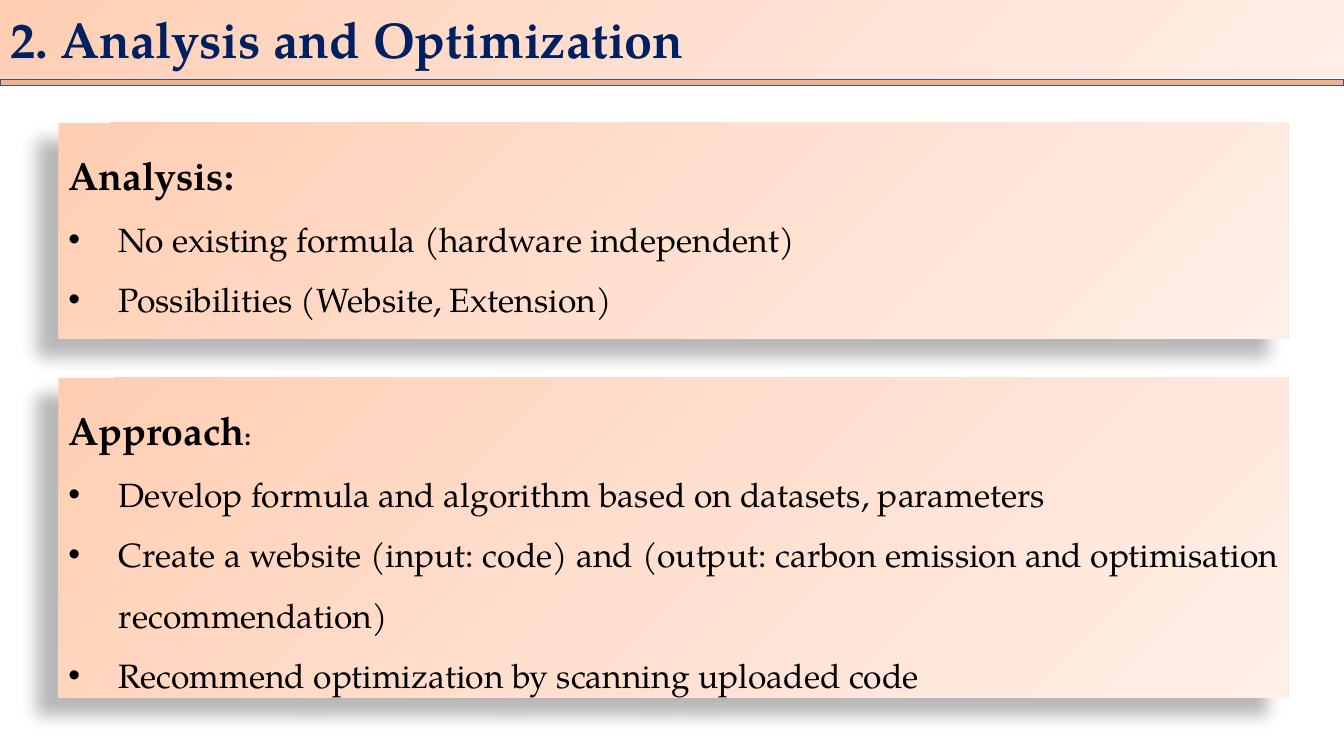
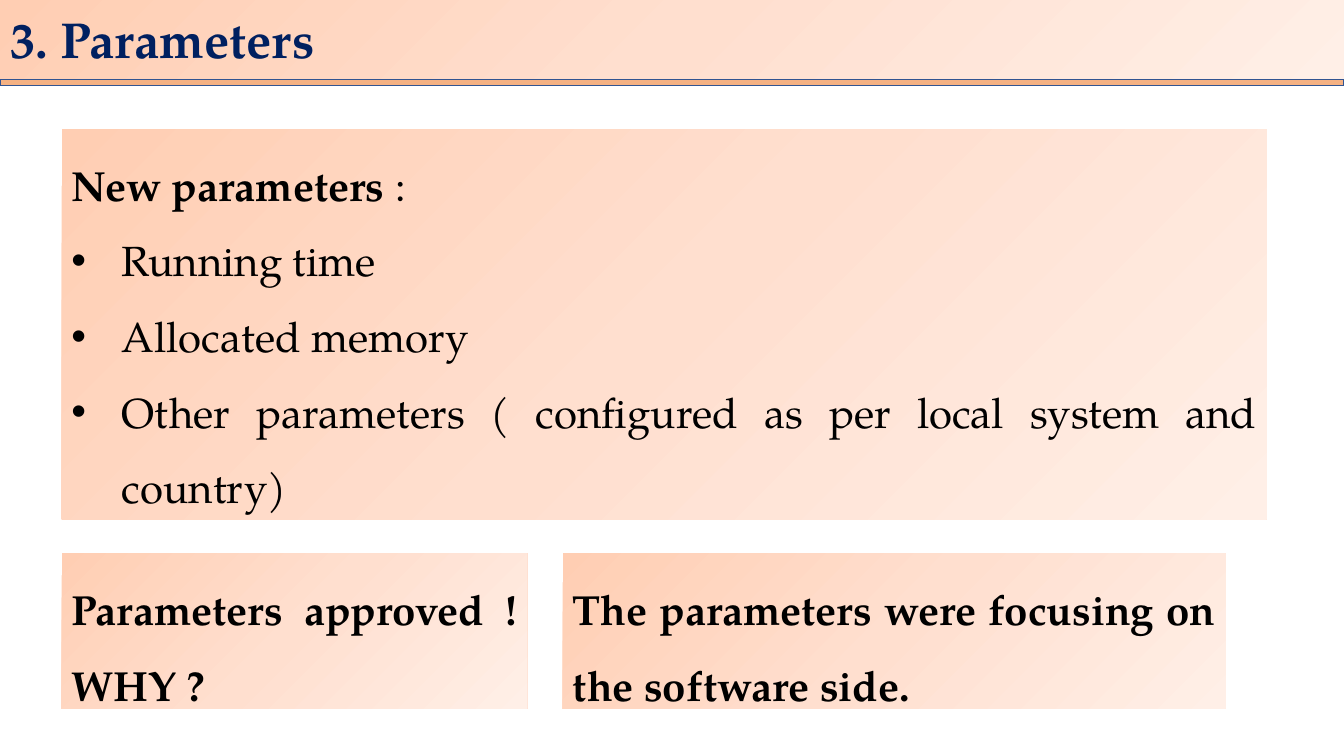
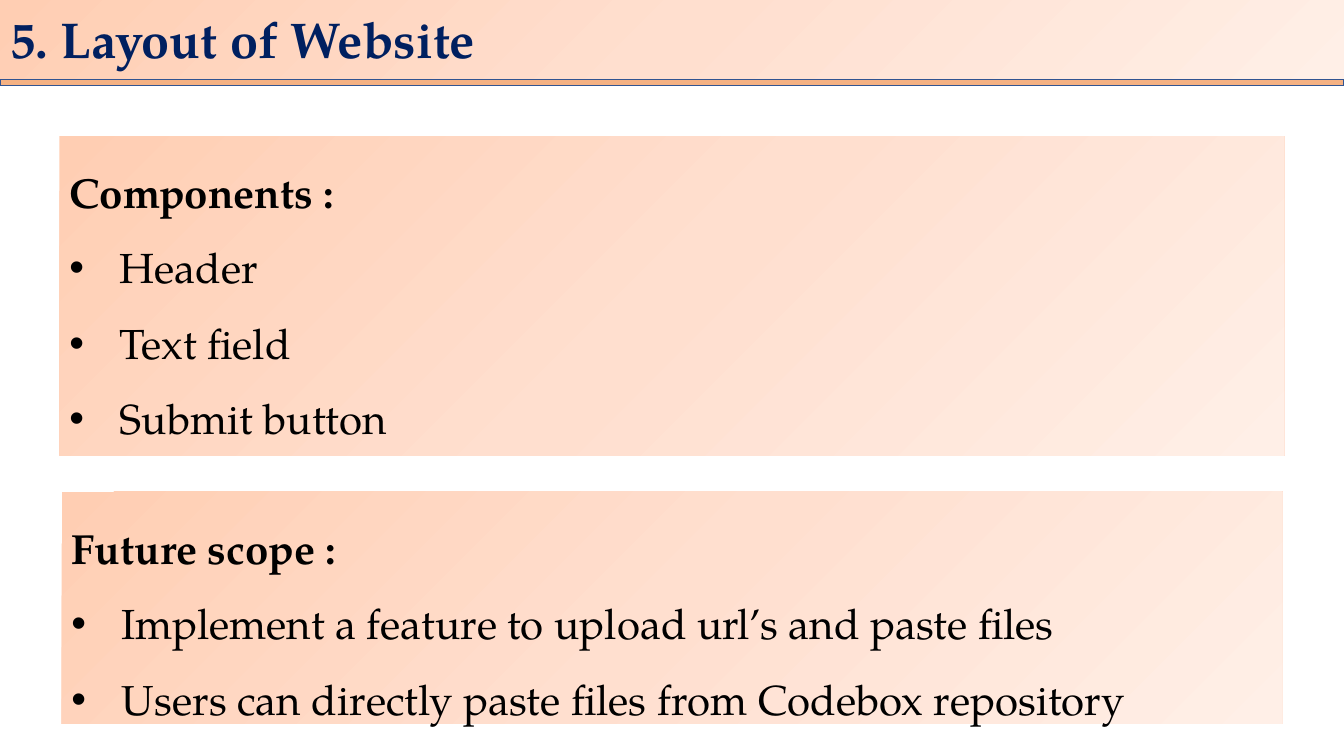
from copy import deepcopy

from lxml.etree import SubElement
from pptx import Presentation
from pptx.dml.color import RGBColor
from pptx.enum.shapes import MSO_SHAPE
from pptx.enum.text import MSO_ANCHOR, MSO_AUTO_SIZE, PP_ALIGN
from pptx.oxml.ns import qn
from pptx.util import Pt

COLOURS = {
    "title": "002060",
    "text": "000000",
    "shadow": "000000",
    "rule": "F4B183",
    "rule_line": "325491",
    "peach_dark": "FFCEB3",
    "peach_mid": "FFDFCF",
    "peach_light": "FFEFE7",
}
GRADIENT = [(0, "peach_dark"), (0.5, "peach_mid"), (1, "peach_light")]
FONT = "TeX Gyre Pagella"
WIDTH, HEIGHT = 960, 540
INDENT = 36
TITLE_FORMAT = {"size": Pt(36), "bold": True}
FRAME_FORMAT = {"word_wrap": True, "auto_size": MSO_AUTO_SIZE.NONE}


def colour(name):
    return RGBColor.from_string(COLOURS[name])


def apply(target, values):
    for name, value in values.items():
        setattr(target, name, value)


class Deck:
    def __init__(self):
        self.deck = Presentation()
        apply(self.deck, {"slide_width": Pt(WIDTH), "slide_height": Pt(HEIGHT)})
        self.page = None

    def add_page(self, title):
        """Start a slide with its title band and the rule below it."""
        self.page = self.deck.slides.add_slide(self.deck.slide_layouts[5])
        band = self.page.shapes.title
        apply(band, {"left": Pt(0), "top": Pt(0),
                     "width": Pt(WIDTH), "height": Pt(60.5)})
        self.fill_peach(band)
        apply(band.text_frame, FRAME_FORMAT)
        band.text_frame.vertical_anchor = MSO_ANCHOR.MIDDLE
        self.add_spans(band.text_frame.paragraphs[0], [(title, TITLE_FORMAT)],
                       "title", 0.9)
        self.add_rule()

    def add_rule(self):
        rule = self.page.shapes.add_shape(
            MSO_SHAPE.RECTANGLE, Pt(0), Pt(56.9), Pt(WIDTH), Pt(4.3))
        rule.shadow.inherit = False
        rule.fill.solid()
        rule.fill.fore_color.rgb = colour("rule")
        rule.line.color.rgb = colour("rule_line")
        rule.line.width = Pt(1)

    def add_panel(self, place, heading, bullets=(), size=30, shadow=False):
        """Add a text panel; heading is a list of (text, font format) spans."""
        box = self.page.shapes.add_textbox(*map(Pt, place))
        self.fill_peach(box)
        if shadow:
            self.add_shadow(box)
        frame = box.text_frame
        apply(frame, FRAME_FORMAT)
        self.add_spans(frame.paragraphs[0], heading)
        for text in bullets:
            para = frame.add_paragraph()
            self.add_spans(para, [(text, {"size": Pt(size), "bold": False})])
            self.add_bullet(para)

    def add_spans(self, para, spans, colour_name="text", spacing=1.5):
        apply(para, {"alignment": PP_ALIGN.JUSTIFY, "line_spacing": spacing,
                     "space_before": Pt(0)})
        for text, values in spans:
            span = para.add_run()
            span.text = text
            apply(span.font, {"name": FONT, **values})
            span.font.color.rgb = colour(colour_name)

    def add_bullet(self, para):
        properties = para._p.get_or_add_pPr()
        properties.set("marL", str(Pt(INDENT)))
        properties.set("indent", str(-Pt(INDENT)))
        SubElement(properties, qn("a:buFont"), typeface="Arial")
        SubElement(properties, qn("a:buChar"), char="•")

    def fill_peach(self, shape):
        shape.fill.gradient()
        stops = shape._element.spPr.find(".//" + qn("a:gsLst"))
        stops.insert(1, deepcopy(stops[0]))
        for stop, (position, name) in zip(shape.fill.gradient_stops, GRADIENT):
            stop.position = position
            stop.color.rgb = colour(name)
        shape.fill.gradient_angle = 315

    def add_shadow(self, shape):
        effects = SubElement(shape._element.spPr, qn("a:effectLst"))
        shadow = SubElement(
            effects, qn("a:outerShdw"), blurRad=str(Pt(11.8)),
            dist=str(Pt(19.7)), dir=str(141 * 60000), algn="tr", rotWithShape="0")
        tint = SubElement(shadow, qn("a:srgbClr"), val=COLOURS["shadow"])
        SubElement(tint, qn("a:alpha"), val="28000")


def strong(text, size=30):
    return text, {"size": Pt(size), "bold": True}


def main():
    deck = Deck()

    deck.add_page("2. Analysis and Optimization")
    deck.add_panel(
        (41.8, 87.8, 878.4, 154.1), [strong("Analysis:", 28)],
        ["No existing formula (hardware independent)",
         "Possibilities (Website, Extension)"], size=24, shadow=True)
    deck.add_panel(
        (41.8, 270, 878.4, 228.2), [strong("Approach", 28), strong(":", 18)],
        ["Develop formula and algorithm based on datasets, parameters",
         "Create a website (input: code) and (output: carbon emission and "
         "optimisation recommendation)",
         "Recommend optimization by scanning uploaded code"],
        size=24, shadow=True)

    deck.add_page("3. Parameters")
    deck.add_panel(
        (44, 92.2, 861, 278.6),
        [strong("New parameters"), (" :", {"size": Pt(30), "bold": False})],
        ["Running time", "Allocated memory",
         "Other parameters ( configured as per local system and country)"])
    deck.add_panel((44, 395.3, 332.6, 110.9),
                   [strong("Parameters approved ! WHY ?")])
    deck.add_panel((401.8, 395.3, 473.8, 110.9),
                   [strong("The parameters were focusing on the software side.")])

    deck.add_page("5. Layout of Website")
    deck.add_panel((42.5, 97.2, 874.8, 228.2), [strong("Components :")],
                   ["Header", "Text field", "Submit button"])
    deck.add_panel(
        (44, 351.4, 872, 165.6), [strong("Future scope :")],
        ["Implement a feature to upload url’s and paste files",
         "Users can directly paste files from Codebox repository"])

    deck.deck.save("out.pptx")


if __name__ == "__main__":
    main()
